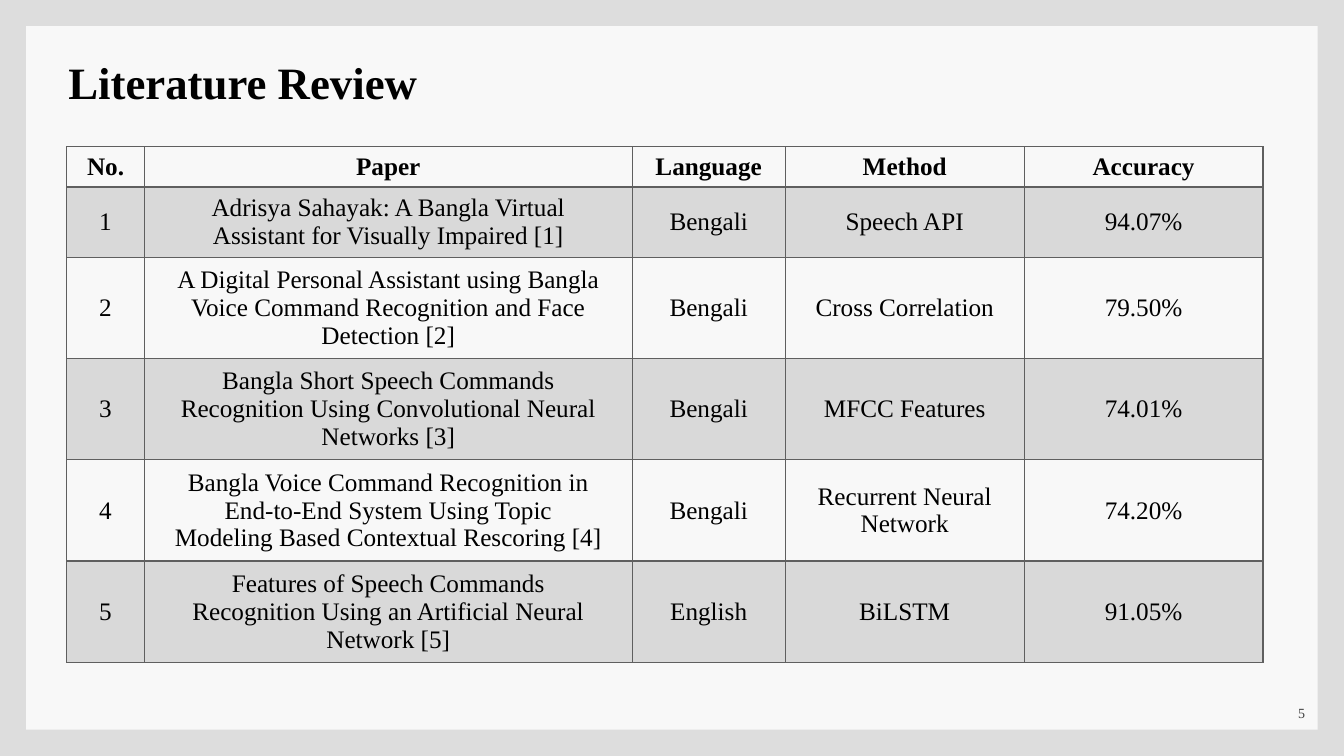
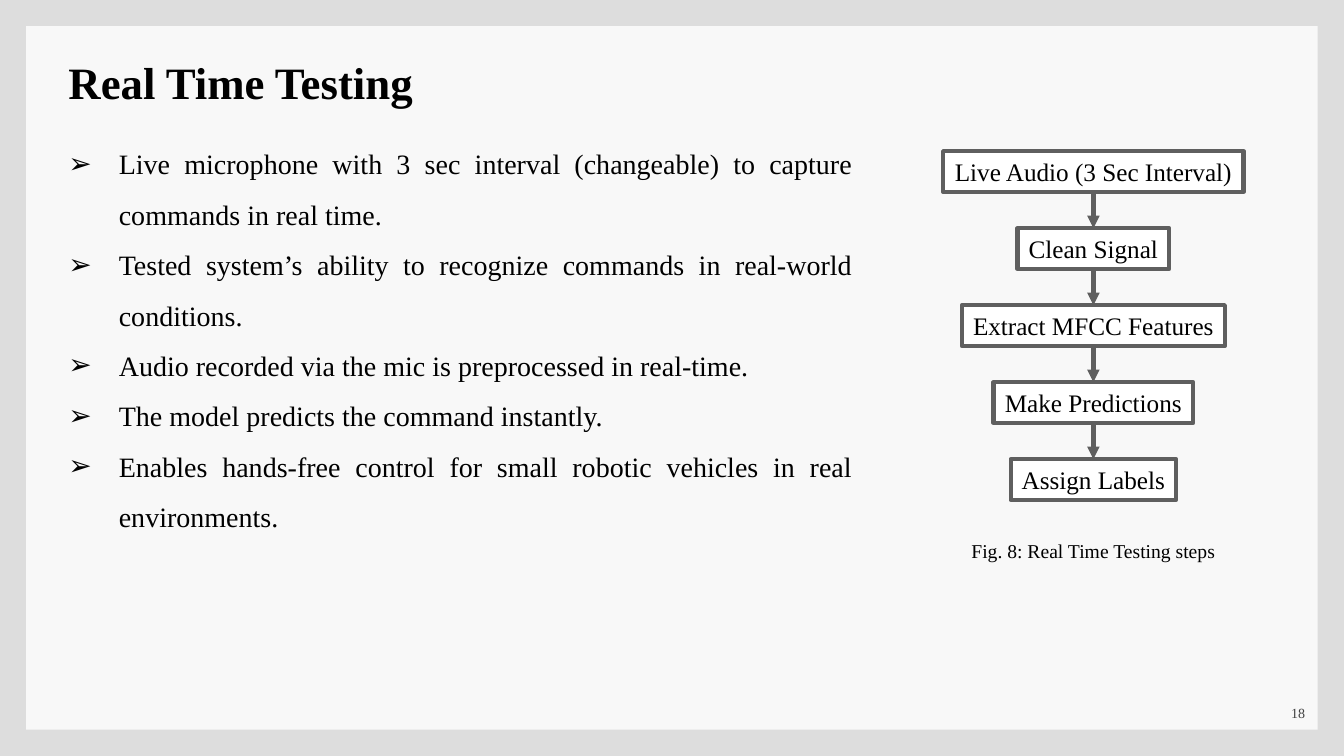
from lxml import etree
from pptx import Presentation
from pptx import util as u
from pptx.dml import color
from pptx.enum import shapes, text
from pptx.oxml import ns

Cm, Pt = u.Cm, u.Pt
FONT = "Times New Roman"
BLACK, WHITE, GREY = "000000", "FFFFFF", "5F5F5F"
BACKDROP, PANEL, PAGE_GREY = "DDDDDD", "F8F8F8", "404040"
SLIDE_W, SLIDE_H, PANEL_MARGIN = 33.87, 19.05, 0.66
TITLE_BOX = (1.47, 1.24, 30.1, 1.63)
PAGE_BOX = (29.08, 17.53, 4.06, 0.76)
LEFT, CENTER, RIGHT, JUSTIFY = (
    getattr(text.PP_ALIGN, side) for side in ("LEFT", "CENTER", "RIGHT", "JUSTIFY"))
TOP, MIDDLE, BOTTOM = (
    getattr(text.MSO_ANCHOR, side) for side in ("TOP", "MIDDLE", "BOTTOM"))

COLUMN_WIDTHS = (1.96, 12.29, 3.86, 6.02, 6.02)
HEADINGS = ("No.", "Paper", "Language", "Method", "Accuracy")
PAPERS = (
    (("Adrisya Sahayak: A Bangla Virtual", "Assistant for Visually Impaired [1]"),
     "Bengali", "Speech API", "94.07%"),
    (("A Digital Personal Assistant using Bangla",
      "Voice Command Recognition and Face", "Detection [2]"),
     "Bengali", "Cross Correlation", "79.50%"),
    (("Bangla Short Speech Commands",
      "Recognition Using Convolutional Neural", "Networks [3]"),
     "Bengali", "MFCC Features", "74.01%"),
    (("Bangla Voice Command Recognition in",
      "End-to-End System Using Topic", "Modeling Based Contextual Rescoring [4]"),
     "Bengali", "Recurrent Neural Network", "74.20%"),
    (("Features of Speech Commands",
      "Recognition Using an Artificial Neural", "Network [5]"),
     "English", "BiLSTM", "91.05%"),
)
TESTING_POINTS = (
    "Live microphone with 3 sec interval (changeable) to capture commands in real time.",
    "Tested system’s ability to recognize commands in real-world conditions.",
    "Audio recorded via the mic is preprocessed in real-time.",
    "The model predicts the command instantly.",
    "Enables hands-free control for small robotic vehicles in real environments.",
)
TESTING_STEPS = (
    ("Live Audio (3 Sec Interval)", 7.57),
    ("Clean Signal", 3.82),
    ("Extract MFCC Features", 6.63),
    ("Make Predictions", 5.03),
    ("Assign Labels", 4.17),
)


def rgb(code):
    return color.RGBColor.from_string(code)


def assign(target, values):
    for name, value in values.items():
        setattr(target, name, value)


def add_xml(parent, tag, **attributes):
    return etree.SubElement(parent, ns.qn(tag), attributes)


def place(part, box):
    assign(part, dict(zip(("left", "top", "width", "height"), map(Cm, box))))


def write(frame, lines, size, align=LEFT, bold=False, ink=BLACK, spacing=1.0):
    """Fill a text frame with one formatted paragraph for each line."""
    frame.text = "\n".join(lines)
    for paragraph in frame.paragraphs:
        assign(paragraph, {"alignment": align, "line_spacing": spacing,
                           "space_before": Pt(0)})
        font = paragraph.runs[0].font
        assign(font, {"name": FONT, "size": Pt(size), "bold": bold})
        font.color.rgb = rgb(ink)


def write_box(part, box, lines, size, anchor=TOP, wrap=True, **style):
    place(part, box)
    assign(part.text_frame, {"word_wrap": wrap, "vertical_anchor": anchor,
                             "auto_size": text.MSO_AUTO_SIZE.NONE})
    write(part.text_frame, lines, size, **style)


def add_label(slide, box, label, size, **style):
    part = slide.shapes.add_textbox(0, 0, 0, 0)
    write_box(part, box, [label], size, **style)


def add_rectangle(slide, box, fill, outline=None):
    part = slide.shapes.add_shape(
        shapes.MSO_SHAPE.RECTANGLE, *map(Cm, box))
    part.shadow.inherit = False
    part.fill.solid()
    part.fill.fore_color.rgb = rgb(fill)
    if outline:
        part.line.color.rgb = rgb(outline)
        part.line.width = Pt(3)
    else:
        part.line.fill.background()
    return part


def style_master(master, slide):
    """Give the master its backdrop and the light panel, drawn first on a slide."""
    master.background.fill.solid()
    master.background.fill.fore_color.rgb = rgb(BACKDROP)
    panel = add_rectangle(
        slide, (PANEL_MARGIN, PANEL_MARGIN,
                SLIDE_W - 2 * PANEL_MARGIN, SLIDE_H - 2 * PANEL_MARGIN), PANEL)
    panel.element.nvSpPr.cNvPr.set("id", "20")
    master.element.cSld.spTree.insert(2, panel.element)


def add_page(prs, layout, title, number):
    slide = prs.slides.add_slide(prs.slide_layouts.get_by_name(layout))
    write_box(slide.shapes.title, TITLE_BOX, [title], 32, bold=True)
    add_label(slide, PAGE_BOX, number, 10, anchor=BOTTOM, align=RIGHT, ink=PAGE_GREY)
    return slide


def style_cell(cell, shaded, top, bottom):
    """Set the fill, then put the borders before it as the schema requires."""
    if shaded:
        cell.fill.solid()
        cell.fill.fore_color.rgb = rgb(GREY)
    else:
        cell.fill.background()
    properties = cell._tc.get_or_add_tcPr()
    for tint in properties.iter(ns.qn("a:srgbClr")):
        add_xml(tint, "a:alpha", val="20000")
    sides = (("a:lnL", 1), ("a:lnR", 1), ("a:lnT", top), ("a:lnB", bottom))
    for position, (tag, points) in enumerate(sides):
        border = add_xml(properties, tag, w=str(Pt(points)))
        add_xml(add_xml(border, "a:solidFill"), "a:srgbClr", val=GREY)
        properties.insert(position, border)


def add_paper_table(slide, left, top):
    rows = [HEADINGS] + [(str(n), *paper) for n, paper in enumerate(PAPERS, 1)]
    table = slide.shapes.add_table(
        len(rows), len(HEADINGS), Cm(left), Cm(top),
        Cm(sum(COLUMN_WIDTHS)), Cm(13)).table
    table.horz_banding = False
    for column, width in zip(table.columns, COLUMN_WIDTHS):
        column.width = Cm(width)
    for r, values in enumerate(rows):
        line_count = len(values[1]) if r else 1
        table.rows[r].height = Cm(0.24 + 0.77 * line_count)
        for c, value in enumerate(values):
            cell = table.cell(r, c)
            lines = [value] if isinstance(value, str) else value
            cell.vertical_anchor = MIDDLE
            write(cell.text_frame, lines, 18, align=CENTER, bold=r == 0)
            style_cell(cell, shaded=r % 2 == 1,
                       top=2 if r == 1 else 1, bottom=2 if r == 0 else 1)


def fill_bullets(body, box, points):
    write_box(body, box, points, 20, align=JUSTIFY, spacing=1.5)
    for paragraph in body.text_frame.paragraphs:
        properties = paragraph._p.get_or_add_pPr()
        properties.set("marL", str(Cm(1.27)))
        properties.set("indent", str(-Cm(1.27)))
        add_xml(properties, "a:buChar", char="➢")


def add_arrow(slide, start, end):
    arrow = slide.shapes.add_connector(shapes.MSO_CONNECTOR.STRAIGHT, 0, 0, 0, 0)
    arrow.begin_connect(start, 2)
    arrow.end_connect(end, 0)
    arrow.line.color.rgb = rgb(GREY)
    arrow.line.width = Pt(3)
    add_xml(arrow.line._get_or_add_ln(), "a:tailEnd", type="triangle")
    add_xml(arrow.element.spPr, "a:effectLst")


def add_step_flow(slide, box, steps, caption):
    """Stack the steps down the middle of the box, with the caption at its foot."""
    left, top, width, height = box
    step_height, pitch, caption_height = 1.03, 1.94, 0.86
    previous = None
    for i, (label, step_width) in enumerate(steps):
        step_box = (left + (width - step_width) / 2, top + i * pitch,
                    step_width, step_height)
        step = add_rectangle(slide, step_box, WHITE, GREY)
        write_box(step, step_box, [label], 18, anchor=MIDDLE, wrap=False, align=CENTER)
        if previous is not None:
            add_arrow(slide, previous, step)
        previous = step
    add_label(slide, (left, top + height - caption_height, width, caption_height),
              caption, 14, align=CENTER)


def main():
    prs = Presentation()
    assign(prs, {"slide_width": Cm(SLIDE_W), "slide_height": Cm(SLIDE_H)})

    review = add_page(prs, "Title Only", "Literature Review", "5")
    style_master(prs.slide_master, review)
    add_paper_table(review, 1.68, 3.7)

    testing = add_page(prs, "Title and Content", "Real Time Testing", "18")
    fill_bullets(testing.placeholders[1], (1.47, 3.15, 20.27, 10.36), TESTING_POINTS)
    add_step_flow(testing, (23.77, 3.81, 7.57, 10.51), TESTING_STEPS,
                  "Fig. 8: Real Time Testing steps")
    prs.save("out.pptx")


if __name__ == "__main__":
    main()
